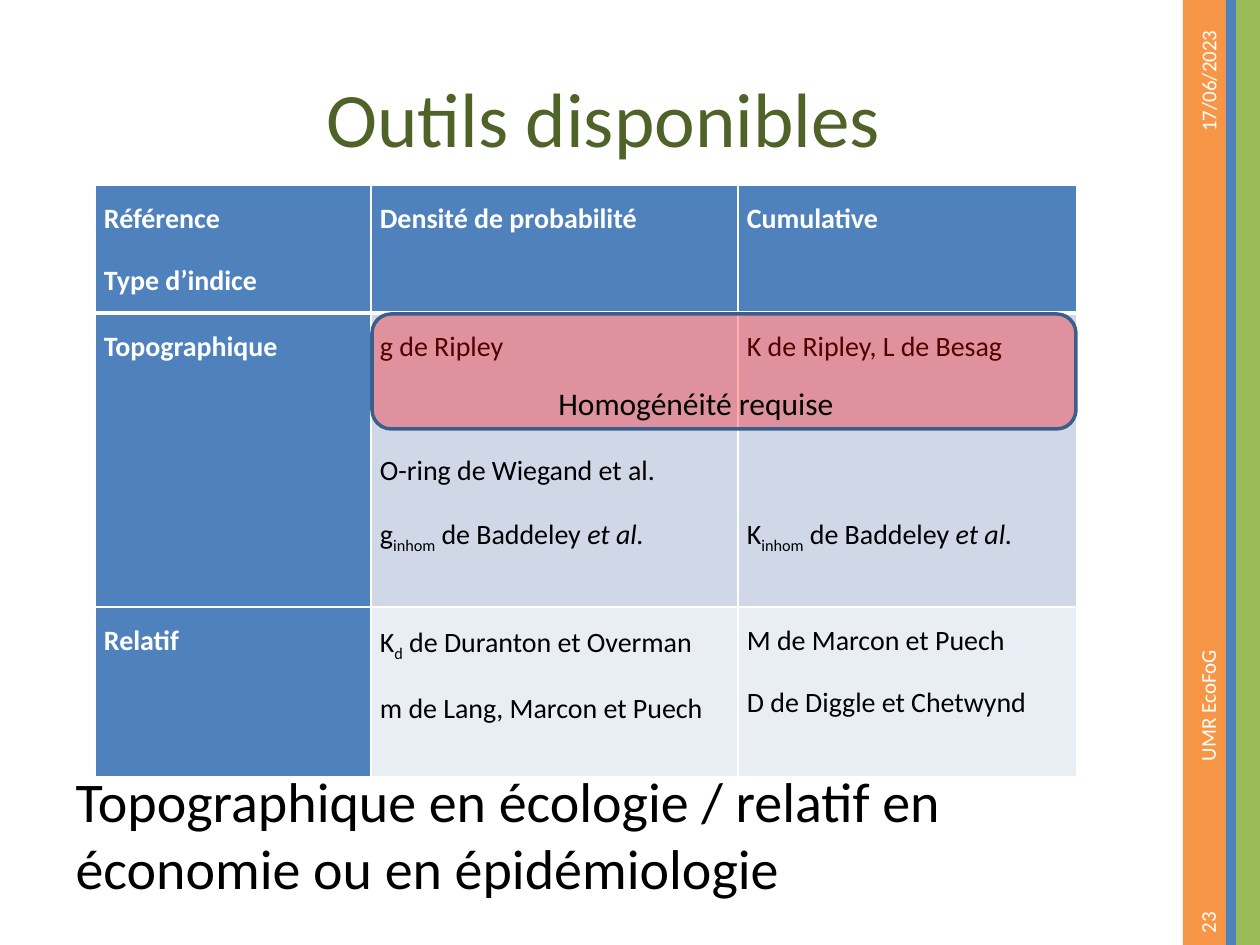
from pptx import Presentation
from pptx.util import Emu, Pt
from pptx.dml.color import RGBColor
from pptx.enum.shapes import MSO_SHAPE as Shp
from pptx.enum.text import PP_ALIGN as Al, MSO_ANCHOR as Anc, MSO_AUTO_SIZE as Fit
from pptx.oxml import parse_xml
from pptx.oxml.ns import qn, nsdecls
from lxml.etree import SubElement as Sub

PX = 914400 // 126
WHITE = RGBColor(255, 255, 255)
BLACK = RGBColor(0, 0, 0)
BLUE = RGBColor(0x4F, 0x81, 0xBD)
ORANGE = RGBColor(0xF7, 0x96, 0x46)
GREEN = RGBColor(0x9B, 0xBB, 0x59)
OLIVE = RGBColor(0x4F, 0x62, 0x28)
NAVY = RGBColor(0x3A, 0x5F, 0x8C)
RED = RGBColor(255, 0, 0)
PALE = RGBColor(0xD0, 0xD8, 0xE8)
LIGHT = RGBColor(0xE9, 0xED, 0xF4)


def box(*px):
    return [Emu(v * PX) for v in px]


def write(para, text, size, color, **style):
    run = para.add_run()
    run.text = text
    for key, val in dict(name="Calibri", size=Pt(size), **style).items():
        setattr(run.font, key, val)
    run.font.color.rgb = color
    return run


prs = Presentation()
prs.slide_width, prs.slide_height = box(1260, 945)
slide = prs.slides.add_slide(prs.slide_layouts[1])
shapes = slide.shapes

# Side bands
for left, width, color in [(1183, 43, ORANGE), (1236, 24, GREEN), (1226, 10, BLUE)]:
    band = shapes.add_shape(Shp.RECTANGLE, *box(left, 0, width, 945))
    band.shadow.inherit = False
    band.fill.solid()
    band.fill.fore_color.rgb = color
    band.line.fill.background()

# Title and closing remark
title, body = shapes.title, slide.placeholders[1]
remark = "Topographique en écologie / relatif en économie ou en épidémiologie"
for hold, place, text, size, color, align, anchor in [
    (title, (63, 38, 1081, 157), "Outils disponibles", 44, OLIVE, Al.CENTER, Anc.MIDDLE),
    (body, (63, 760, 1081, 159), remark, 32, BLACK, Al.LEFT, Anc.TOP),
]:
    hold.left, hold.top, hold.width, hold.height = box(*place)
    frame = hold.text_frame
    frame.auto_size = Fit.NONE
    frame.vertical_anchor = anchor
    frame.paragraphs[0].alignment = align
    write(frame.paragraphs[0], text, size, color)
props = body.text_frame.paragraphs[0]._p.get_or_add_pPr()
props.set("marL", "0")
props.set("indent", "0")
Sub(props, qn("a:buNone"))

# Table: a cell lists paragraphs as (skipped lines, runs)
inhom = [("inhom", "sub"), (" de Baddeley ", ""), ("et al.", "it")]
rows = [
    [[(0, [("Référence", "")]), (0, [("Type d’indice", "")])],
     [(0, [("Densité de probabilité", "")])],
     [(0, [("Cumulative", "")])]],
    [[(0, [("Topographique", "")])],
     [(0, [("g de Ripley", "")]), (1, [("O-ring de Wiegand et al.", "")]),
      (0, [("g", "")] + inhom)],
     [(0, [("K de Ripley, L de Besag", "")]), (2, [("K", "")] + inhom)]],
    [[(0, [("Relatif", "")])],
     [(0, [("K", ""), ("d", "sub"), (" de Duranton et Overman", "")]),
      (0, [("m de Lang, Marcon et Puech", "")])],
     [(0, [("M de Marcon et Puech", "")]), (0, [("D de Diggle et Chetwynd", "")])]],
]
table = shapes.add_table(3, 3, *box(95, 185, 982, 592)).table
for col, width in zip(table.columns, (276, 367, 339)):
    col.width = Emu(width * PX)
for row, height in zip(table.rows, (128, 294, 170)):
    row.height = Emu(height * PX)

for r, row in enumerate(rows):
    for c, paras in enumerate(row):
        cell = table.cell(r, c)
        head = r == 0 or c == 0
        cell.margin_left = cell.margin_right = Emu(9 * PX)
        cell.margin_top = cell.margin_bottom = 0
        # Borders come before the fill
        tcpr = cell._tc.get_or_add_tcPr()
        for side in "LRTB":
            thick = (r, side) in [(0, "B"), (1, "T")]
            tcpr.append(parse_xml(
                f'<a:ln{side} {nsdecls("a")} w="{38100 if thick else 12700}"><a:solidFill>'
                f'<a:srgbClr val="{WHITE}"/></a:solidFill></a:ln{side}>'))
        cell.fill.solid()
        cell.fill.fore_color.rgb = BLUE if head else (PALE if r == 1 else LIGHT)
        for i, (skip, runs) in enumerate(paras):
            frame = cell.text_frame
            para = frame.add_paragraph() if i else frame.paragraphs[0]
            para.line_spacing = 1.5
            para.space_before = Pt(6 + 35.3 * skip)
            for text, kind in runs:
                run = write(para, text, 16, WHITE if head else BLACK,
                            bold=head, italic=kind == "it")
                if kind == "sub":
                    run._r.get_or_add_rPr().set("baseline", "-25000")

# Highlighted cells
mark = shapes.add_shape(Shp.ROUNDED_RECTANGLE, *box(372, 314, 704, 115))
mark.shadow.inherit = False
mark.fill.solid()
mark.fill.fore_color.rgb = RED
alpha = Sub(mark.fill._xPr.find(".//" + qn("a:srgbClr")), qn("a:alpha"))
alpha.set("val", "32000")
mark.line.color.rgb = NAVY
mark.line.width = Pt(2)

# Label, date, footer and page number
for place, turn, text, size, color, align, anchor in [
    ((546, 378, 302, 50), 0, "Homogénéité requise", 18, BLACK, Al.LEFT, Anc.TOP),
    ((1061, 140, 294, 50), 270, "17/06/2023", 12, WHITE, Al.RIGHT, Anc.MIDDLE),
    ((987, 528, 441, 50), 270, "UMR EcoFoG", 12, WHITE, Al.LEFT, Anc.MIDDLE),
    ((1125, 838, 165, 50), 270, "23", 12, WHITE, Al.LEFT, Anc.MIDDLE),
]:
    label = shapes.add_textbox(*box(*place))
    label.rotation = turn
    frame = label.text_frame
    frame.word_wrap = True
    frame.vertical_anchor = anchor
    frame.paragraphs[0].alignment = align
    write(frame.paragraphs[0], text, size, color)

prs.save("out.pptx")
